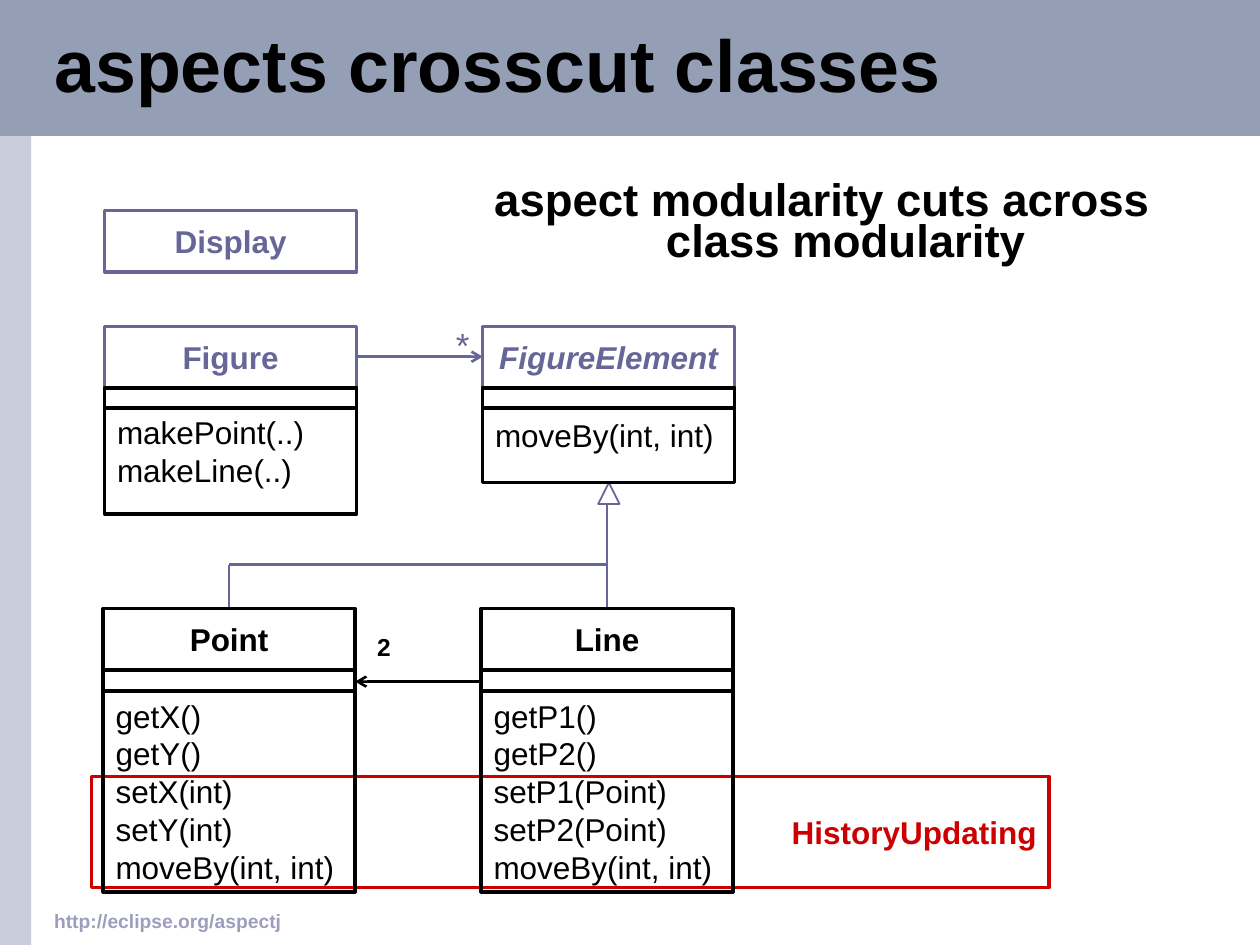
from lxml.etree import SubElement
from pptx import Presentation
from pptx.dml.color import RGBColor
from pptx.enum.shapes import MSO_CONNECTOR as Connector, MSO_SHAPE as Preset
from pptx.enum.text import MSO_ANCHOR as Anchor, MSO_AUTO_SIZE as AutoSize, PP_ALIGN as Align
from pptx.oxml.ns import qn
from pptx.util import Cm, Pt

COLORS = {
    "black": "000000", "white": "FFFFFF", "violet": "666699", "red": "CC0000",
    "band": "949FB6", "side": "C8CEDC", "footer": "9D9DBD",
}
FONT = "Arial"
SLIDE_WIDTH, SLIDE_HEIGHT = 25.4, 19.05
CLASS_WIDTH, NAME_HEIGHT = 5.08, 1.24
COLUMN_STEP = 7.62
UPPER_LEFT, UPPER_TOP = 2.11, 6.58
LOWER_LEFT, LOWER_TOP = 2.08, 12.27
LEFT_AXIS = 4.62
RIGHT_AXIS = LEFT_AXIS + COLUMN_STEP
JOINT = 11.38

TITLE = "aspects crosscut classes"
MESSAGE = "aspect modularity cuts across class modularity"
FOOTER = "http://eclipse.org/aspectj"
BARS = [
    ("side", (0, 0, 0.63, SLIDE_HEIGHT)),
    ("band", (0, 0, SLIDE_WIDTH, 2.74)),
]
UPPER = dict(left=UPPER_LEFT, top=UPPER_TOP, color="violet", attribute_height=0.41, offset=0)
LOWER = dict(left=LOWER_LEFT, top=LOWER_TOP, color="black", attribute_height=0.43, offset=0.41)
CLASSES = [
    ("Point", LOWER, 0, ["getX()", "getY()", "setX(int)", "setY(int)", "moveBy(int, int)"], 4.06, False),
    ("Line", LOWER, 1, ["getP1()", "getP2()", "setP1(Point)", "setP2(Point)", "moveBy(int, int)"], 4.06, False),
    ("Figure", UPPER, 0, ["makePoint(..)", "makeLine(..)"], 2.54, False),
    ("FigureElement", UPPER, 1, ["moveBy(int, int)"], 1.91, True),
]
LINKS = [
    ((7.19, 7.19), (9.73, 7.19), "violet", True),
    ((9.7, 13.74), (7.16, 13.74), "black", True),
    ((LEFT_AXIS, LOWER_TOP), (LEFT_AXIS, JOINT), "violet", False),
    ((RIGHT_AXIS, LOWER_TOP), (RIGHT_AXIS, JOINT), "violet", False),
    ((LEFT_AXIS, JOINT), (RIGHT_AXIS, JOINT), "violet", False),
    ((RIGHT_AXIS, JOINT), (RIGHT_AXIS, 10.13), "violet", False),
]
LABELS = [
    ("*", (8.94, 6.4, 0.64, 1.12), dict(size=20, color="violet")),
    ("2", (7.32, 12.62, 0.84, 0.86), dict(size=14, bold=True)),
]


def rgb(name):
    return RGBColor.from_string(COLORS[name])


def write(shape, text, size=18, color="black", bold=False, italic=False, align=Align.LEFT,
          anchor=Anchor.TOP, wrap=True, spacing=None, fit=AutoSize.NONE):
    frame = shape.text_frame
    frame.word_wrap = wrap
    frame.auto_size = fit
    frame.vertical_anchor = anchor
    paragraph = frame.paragraphs[0]
    paragraph.text = text
    paragraph.alignment = align
    paragraph.space_before = Pt(0)
    if spacing:
        paragraph.line_spacing = spacing
    for run in paragraph.runs:
        font = run.font
        font.name, font.size = FONT, Pt(size)
        font.bold, font.italic = bold, italic
        font.color.rgb = rgb(color)
    return paragraph


def place(shape, box):
    shape.left, shape.top, shape.width, shape.height = map(Cm, box)


def add_box(slide, box, line=None, fill=None, preset=Preset.RECTANGLE, width=2):
    shape = slide.shapes.add_shape(preset, *map(Cm, box))
    shape.shadow.inherit = False
    if fill:
        shape.fill.solid()
        shape.fill.fore_color.rgb = rgb(fill)
    else:
        shape.fill.background()
    if line:
        shape.line.color.rgb = rgb(line)
        shape.line.width = Pt(width)
    else:
        shape.line.fill.background()
    return shape


def add_link(slide, start, end, color, arrow):
    link = slide.shapes.add_connector(Connector.STRAIGHT, *map(Cm, start + end))
    link.line.color.rgb = rgb(color)
    link.line.width = Pt(1.5)
    if arrow:
        SubElement(link.line._get_or_add_ln(), qn("a:tailEnd"), type="arrow")
    SubElement(link._element.spPr, qn("a:effectLst"))


def add_name(slide, name, left, top, color, italic=False):
    shape = add_box(slide, (left, top, CLASS_WIDTH, NAME_HEIGHT), color)
    write(shape, name, color=color, bold=True, italic=italic, align=Align.CENTER,
          anchor=Anchor.MIDDLE, wrap=False)


def add_class(slide, name, row, column, methods, height, italic):
    left = row["left"] + column * COLUMN_STEP
    divider = row["top"] + NAME_HEIGHT
    add_name(slide, name, left, row["top"], row["color"], italic)
    shape = add_box(slide, (left, divider + row["offset"], CLASS_WIDTH, height), "black")
    write(shape, "\n".join(methods), anchor=Anchor.MIDDLE, wrap=False)
    add_box(slide, (left, divider, CLASS_WIDTH, row["attribute_height"]), "black")


def main():
    presentation = Presentation()
    presentation.slide_width, presentation.slide_height = Cm(SLIDE_WIDTH), Cm(SLIDE_HEIGHT)
    slide = presentation.slides.add_slide(presentation.slide_layouts[1])
    title, body = slide.placeholders

    for position, (color, box) in enumerate(BARS):
        bar = add_box(slide, box, fill=color)
        slide.shapes._spTree.insert(2 + position, bar._element)

    place(title, (0.84, 0.08, 23.93, 2.67))
    write(title, TITLE, size=42, bold=True, anchor=Anchor.MIDDLE, spacing=0.85)

    place(body, (9.02, 3.58, 15.11, 2.03))
    message = write(body, MESSAGE, size=26, bold=True, align=Align.CENTER, spacing=0.75)
    properties = message._p.get_or_add_pPr()
    properties.set("marL", str(Cm(0.95)))
    properties.set("indent", str(Cm(-0.95)))
    SubElement(properties, qn("a:buNone"))

    aspect = add_box(slide, (1.85, 15.65, 19.3, 2.24), "red")
    write(aspect, "HistoryUpdating", color="red", bold=True, align=Align.RIGHT,
          anchor=Anchor.MIDDLE, wrap=False)

    add_name(slide, "Display", UPPER_LEFT, 4.24, "violet")
    for link in LINKS:
        add_link(slide, *link)
    for text, box, style in LABELS:
        label = slide.shapes.add_textbox(*map(Cm, box))
        write(label, text, align=Align.CENTER, fit=AutoSize.SHAPE_TO_FIT_TEXT, **style)
    add_box(slide, (12.06, 9.73, 0.43, 0.43), "violet", "white", Preset.ISOSCELES_TRIANGLE, 1)
    for item in CLASSES:
        add_class(slide, *item)

    footer = slide.shapes.add_textbox(*map(Cm, (0.84, 18.21, 18.42, 0.64)))
    write(footer, FOOTER, size=11, color="footer", bold=True)
    presentation.save("out.pptx")


if __name__ == "__main__":
    main()
